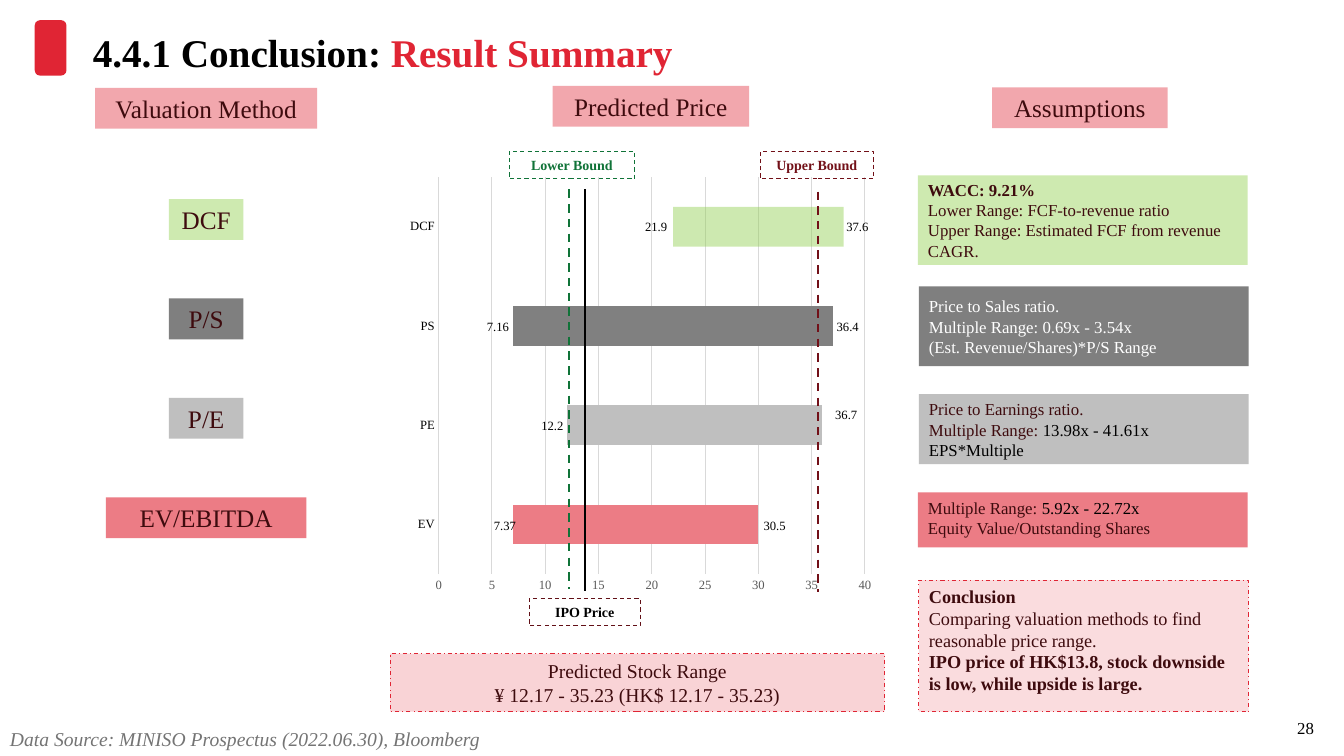
"""Builds the valuation result summary slide with its price range chart."""
from lxml import etree
from pptx import Presentation
from pptx import util as u
from pptx.chart.data import CategoryChartData
from pptx.dml.color import RGBColor
from pptx.enum import chart as charts, dml, shapes, text
from pptx.oxml import parse_xml
from pptx.oxml.ns import nsdecls, qn

CELL = u.Inches(0.1)
FONT = "Times New Roman"
RED = RGBColor(0xE0, 0x25, 0x34)
PINK = RGBColor(0xF3, 0xA8, 0xAE)
PALE_PINK = RGBColor(0xF9, 0xD3, 0xD6)
ROSE = RGBColor(0xEC, 0x7C, 0x85)
LIME = RGBColor(0xCE, 0xEA, 0xB0)
BAR_GREEN = RGBColor(0x92, 0xD0, 0x50)
SILVER = RGBColor(0xBF, 0xBF, 0xBF)
GRAY = RGBColor(0x7F, 0x7F, 0x7F)
BAR_GRAY = RGBColor(0x80, 0x80, 0x80)
GRID_GRAY = RGBColor(0xD9, 0xD9, 0xD9)
AXIS_GRAY = RGBColor(0x59, 0x59, 0x59)
SOURCE_GRAY = RGBColor(0x74, 0x74, 0x74)
GREEN = RGBColor(0x10, 0x73, 0x38)
MAROON = RGBColor(0x72, 0x10, 0x18)
DARK_MAROON = RGBColor(0x62, 0x10, 0x17)
WINE = RGBColor(0x3E, 0x0B, 0x0E)
BLACK = RGBColor(0, 0, 0)
WHITE = RGBColor(0xFF, 0xFF, 0xFF)
LEFT, CENTER, RIGHT = text.PP_ALIGN.LEFT, text.PP_ALIGN.CENTER, text.PP_ALIGN.RIGHT
TOP, MIDDLE = text.MSO_ANCHOR.TOP, text.MSO_ANCHOR.MIDDLE
DASH, DASH_DOT = dml.MSO_LINE.DASH, dml.MSO_LINE.DASH_DOT

deck = Presentation()
deck.slide_width, deck.slide_height = u.Inches(13.33), u.Inches(7.5)
page = deck.slides.add_slide(deck.slide_layouts[6])


def paint(fill, color, opacity=100):
    """Fills with a solid color at the given opacity in percent."""
    fill.solid()
    fill.fore_color.rgb = color
    if opacity < 100:
        color_node = fill._xPr.find(qn("a:solidFill"))[0]
        etree.SubElement(color_node, qn("a:alpha")).set("val", str(opacity * 1000))


def add_box(place, paragraphs, size, color=WINE, align=CENTER, anchor=TOP,
            fill=None, opacity=100, line=None, dash=DASH):
    """Adds a box at grid cells; a paragraph lists (wording, bold, color) spans."""
    area = [round(cells * CELL) for cells in place]
    if fill or line:
        box = page.shapes.add_shape(shapes.MSO_SHAPE.RECTANGLE, *area)
        box.shadow.inherit = False
        box.fill.background()
        box.line.fill.background()
    else:
        box = page.shapes.add_textbox(*area)
    if fill:
        paint(box.fill, fill, opacity)
    if line:
        box.line.color.rgb = line
        box.line.width = u.Pt(0.75)
        box.line.dash_style = dash
    frame = box.text_frame
    frame.word_wrap = True
    frame.vertical_anchor = anchor
    for index, spans in enumerate(paragraphs):
        para = frame.paragraphs[0] if index == 0 else frame.add_paragraph()
        para.alignment = align
        for wording, bold, span_color in spans:
            span = para.add_run()
            span.text = wording
            span.font.name = FONT
            span.font.size = u.Pt(size)
            span.font.bold = bold
            span.font.color.rgb = span_color or color
    return box


marker = page.shapes.add_shape(shapes.MSO_SHAPE.ROUNDED_RECTANGLE,
                               round(3.45 * CELL), 2 * CELL, round(3.15 * CELL), round(5.5 * CELL))
marker.shadow.inherit = False
paint(marker.fill, RED)
marker.line.fill.background()

add_box((124.1, 70.2, 7.2, 4), [[("28", False, None)]], 12, BLACK, RIGHT, MIDDLE)
title = add_box((8.4, 2, 105.5, 5.5),
                [[("4.4.1 Conclusion: ", True, None), ("Result Summary", True, RED)]],
                28, BLACK, LEFT, MIDDLE).text_frame
title.margin_left = title.margin_right = title.margin_top = u.Inches(0.08)
title.margin_bottom = 0
source = add_box((0, 71.6, 49.7, 3.4),
                 [[("Data Source: MINISO Prospectus (2022.06.30), Bloomberg", False, None)]],
                 14, SOURCE_GRAY, LEFT, MIDDLE).text_frame
source.word_wrap = False
source.paragraphs[0].runs[0].font.italic = True

add_box((38.7, 64.85, 49.05, 5.75),
        [[("Predicted Stock Range", False, None)],
         [("¥ 12.17 - 35.23 (HK$ 12.17 - 35.23)", False, None)]],
        14, anchor=MIDDLE, fill=PALE_PINK, line=RED, dash=DASH_DOT)

FIRST_ROW, ROW_STEP, METHOD_CENTER = 19.75, 9.86, 20.45
methods = [("DCF", 7.4, LIME), ("P/S", 7.4, GRAY), ("P/E", 7.4, SILVER), ("EV/EBITDA", 19.9, ROSE)]
for row, (method, width, fill) in enumerate(methods):
    add_box((METHOD_CENTER - width / 2, FIRST_ROW + row * ROW_STEP, width, 4.05),
            [[(method, False, None)]], 18, fill=fill)

add_box((91.15, 57.55, 32.7, 13.05),
        [[("Conclusion", True, None)],
         [("Comparing valuation methods to find reasonable price range.", False, None)],
         [("IPO price of HK$13.8, stock downside is low, while upside is large.", True, None)]],
        13, align=LEFT, fill=PINK, opacity=40, line=RED, dash=DASH_DOT)

data = CategoryChartData()
data.categories = ["EV", "PE", "PS", "DCF"]
data.add_series("Series 1", (7, 12, 7, 22))
data.add_series("Series 2", (23, 24, 30, 16))
chart = page.shapes.add_chart(charts.XL_CHART_TYPE.BAR_STACKED, round(38.7 * CELL), round(15.8 * CELL),
                              round(48.6 * CELL), round(43.15 * CELL), data).chart
chart.has_title = chart.has_legend = False
chart.font.name, chart.font.size = "Cabin", u.Pt(10)
chart.font.color.rgb = BLACK
plot = chart.plots[0]
plot.gap_width, plot.overlap, plot.vary_by_categories = 150, 100, False
hidden_start, price_range = plot.series
hidden_start.format.fill.background()
paint(price_range.format.fill, BAR_GRAY)
for index, (color, opacity) in enumerate([(ROSE, 100), (SILVER, 100), (BAR_GRAY, 100), (BAR_GREEN, 45)]):
    paint(price_range.points[index].format.fill, color, opacity)
for axis, color in ((chart.category_axis, BLACK), (chart.value_axis, AXIS_GRAY)):
    axis.major_tick_mark = axis.minor_tick_mark = charts.XL_TICK_MARK.NONE
    axis.tick_labels.font.name, axis.tick_labels.font.size = FONT, u.Pt(9)
    axis.tick_labels.font.color.rgb = color
chart.value_axis.minimum_scale, chart.value_axis.maximum_scale = 0, 40
chart.value_axis.major_unit = 5
chart.value_axis.has_major_gridlines = True
chart.value_axis.format.line.fill.background()
for line in (chart.category_axis.format.line, chart.value_axis.major_gridlines.format.line):
    line.color.rgb = GRID_GRAY
    line.width = u.Pt(0.75)
plot_area = chart._chartSpace.find(".//" + qn("c:plotArea"))
for layout in plot_area.findall(qn("c:layout")):
    plot_area.remove(layout)
plot_area.insert(0, parse_xml(
    f'<c:layout {nsdecls("c")}><c:manualLayout><c:layoutTarget val="inner"/>'
    '<c:xMode val="edge"/><c:yMode val="edge"/><c:x val="0.099"/><c:y val="0.041"/>'
    '<c:w val="0.87"/><c:h val="0.913"/></c:manualLayout></c:layout>'))

price_labels = [("21.9", 63, 21.25), ("7.16", 47.3, 31.1), ("12.2", 52.7, 41), ("7.37", 48, 50.9),
                ("37.6", 82.95, 21.25), ("36.4", 82, 31.1), ("36.7", 81.85, 39.85), ("30.5", 74.75, 50.9)]
for price, column, row in price_labels:
    add_box((column, row, 4.8, 2.5), [[(price, False, None)]], 9, BLACK, LEFT)

for column, top, bottom, color, dashed in [(56.4, 18.8, 58.4, GREEN, True),
                                           (58, 18.8, 58.6, BLACK, False),
                                           (81.1, 19, 58.7, MAROON, True)]:
    bound = page.shapes.add_connector(shapes.MSO_CONNECTOR.STRAIGHT, round(column * CELL), round(top * CELL),
                                      round(column * CELL), round(bottom * CELL))
    bound.line.color.rgb = color
    bound.line.width = u.Pt(1.5)
    if dashed:
        bound.line.dash_style = DASH
    etree.SubElement(bound._element.spPr, qn("a:effectLst"))

for label, column, row, width, color, line in [("Lower Bound", 50.5, 15.05, 12.45, GREEN, GREEN),
                                               ("IPO Price", 52.5, 59.4, 11, BLACK, DARK_MAROON),
                                               ("Upper Bound", 75.4, 15.05, 11.2, MAROON, MAROON)]:
    add_box((column, row, width, 2.7), [[(label, True, None)]], 10, color, line=line)

for heading, column, row, width in [("Valuation Method", 9.45, 8.73, 22),
                                    ("Predicted Price", 54.8, 8.53, 19.5),
                                    ("Assumptions", 98.4, 8.68, 17.4)]:
    add_box((column, row, width, 4.04), [[(heading, False, None)]], 18, fill=RED, opacity=40)

assumptions = [
    (91.05, 17.4, 8.88, LIME, WINE, MIDDLE,
     [[("WACC: 9.21%", True, None)],
      [("Lower Range: FCF-to-revenue ratio", False, None)],
      [("Upper Range: Estimated FCF from revenue CAGR.", False, None)]]),
    (91.15, 28.42, 7.9, GRAY, WHITE, MIDDLE,
     [[("Price to Sales ratio.", False, None)],
      [("Multiple Range: 0.69x - 3.54x", False, None)],
      [("(Est. Revenue/Shares)*P/S Range", False, None)]]),
    (91.15, 39.1, 6.95, SILVER, WINE, TOP,
     [[("Price to Earnings ratio.", False, None)],
      [("Multiple Range: ", False, None), ("13.98x - 41.61x", False, BLACK)],
      [("EPS*Multiple", False, BLACK)]]),
    (91.05, 48.85, 5.45, ROSE, WINE, TOP,
     [[("Multiple Range: ", False, None), ("5.92x - 22.72x", False, BLACK)],
      [("Equity Value/Outstanding Shares", False, None)]]),
]
for column, row, height, fill, color, anchor, paragraphs in assumptions:
    add_box((column, row, 32.7, height), paragraphs, 12, color, LEFT, anchor, fill)

deck.save("out.pptx")
